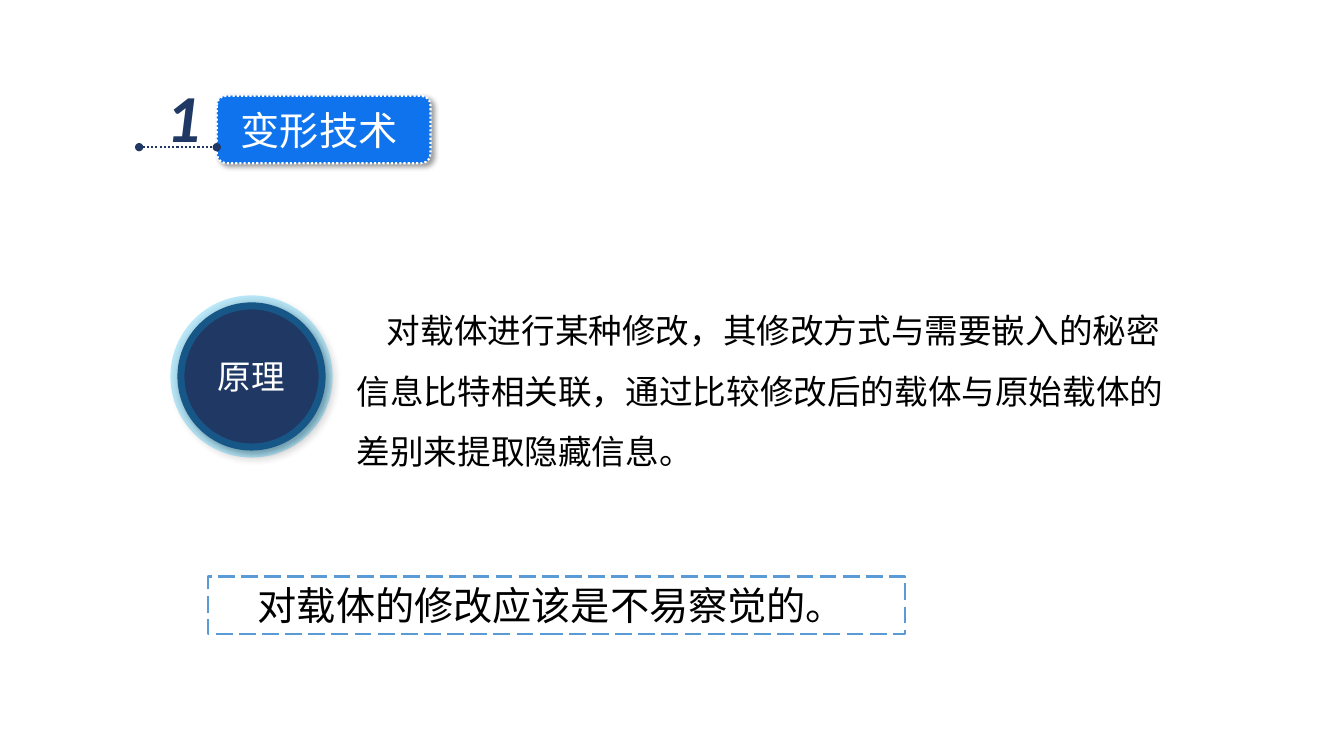
from lxml.etree import SubElement
from pptx import Presentation
from pptx.dml.color import RGBColor
from pptx.enum.dml import MSO_LINE
from pptx.enum.shapes import MSO_CONNECTOR, MSO_SHAPE
from pptx.enum.text import MSO_ANCHOR, MSO_AUTO_SIZE, PP_ALIGN
from pptx.oxml.ns import qn
from pptx.util import Pt

PX = 9144  # 100 px to the inch
COLORS = {
    "white": "FFFFFF",
    "black": "000000",
    "blue": "0F73EE",
    "navy": "203864",
    "cyan": "00B0F0",
    "dash": "5B9BD5",
}
CHINESE = "Noto Sans CJK SC"


def rgb(name):
    return RGBColor.from_string(COLORS[name])


def px(*lengths):
    return [length * PX for length in lengths]


def set_line(line, color, width, dash=None):
    line.color.rgb = rgb(color)
    line.width = Pt(width)
    if dash:
        line.dash_style = dash


def set_alpha(fill, percent):
    SubElement(fill[0], qn("a:alpha"), val=str(percent * 1000))


def add_shadow(shape):
    effects = shape._element.spPr.find(qn("a:effectLst"))
    shadow = SubElement(effects, qn("a:outerShdw"), blurRad=str(Pt(4)), dist=str(Pt(3)),
                        dir=str(45 * 60000), algn="tl", rotWithShape="0")
    SubElement(shadow, qn("a:srgbClr"), val=COLORS["black"])
    set_alpha(shadow, 40)


def add_preset(page, kind, box, fill=None):
    shape = page.shapes.add_shape(kind, *px(*box))
    shape.shadow.inherit = False
    if fill:
        shape.fill.solid()
        shape.fill.fore_color.rgb = rgb(fill)
    else:
        shape.fill.background()
    return shape


def write(shape, text, size, color, font=CHINESE, wrap=False, **formats):
    """Fill the shape with one paragraph and return it."""
    frame = shape.text_frame
    frame.word_wrap = wrap
    frame.auto_size = MSO_AUTO_SIZE.SHAPE_TO_FIT_TEXT
    para = frame.paragraphs[0]
    span = para.add_run()
    span.text = text
    span.font.color.rgb = rgb(color)
    for name, value in {"size": Pt(size), "name": font, **formats}.items():
        setattr(span.font, name, value)
    SubElement(span._r.get_or_add_rPr(), qn("a:ea"), typeface=font)
    return para


def add_text(page, box, *content, **formats):
    return write(page.shapes.add_textbox(*px(*box)), *content, **formats)


def add_heading(page, left, top, number, title):
    plate = add_preset(page, MSO_SHAPE.ROUNDED_RECTANGLE, (left + 77, top + 25, 212, 67), "blue")
    plate.adjustments[0] = 0.14
    set_line(plate.line, "white", 1.5, MSO_LINE.ROUND_DOT)
    add_shadow(plate)
    add_text(page, (left + 91, top + 31, 177, 57), title, 28, "white")
    add_text(page, (left + 17, top, 54, 91), number, 48, "navy", "Calibri", bold=True, italic=True)

    rule = page.shapes.add_connector(
        MSO_CONNECTOR.STRAIGHT, *px(left, top + 76, left + 77, top + 76))
    set_line(rule.line, "navy", 1.5, MSO_LINE.ROUND_DOT)
    for end in ("a:headEnd", "a:tailEnd"):
        SubElement(rule.line._get_or_add_ln(), qn(end), type="oval")
    SubElement(rule._element.spPr, qn("a:effectLst"))


def add_principle(page, left, top, label, text):
    """Place a round label with its explanation to the right."""
    para = add_text(page, (left + 168, top - 17, 833, 192), text, 24, "black", wrap=True)
    para.line_spacing = 1.5
    properties = para._p.get_or_add_pPr()
    properties.set("marL", "0")
    properties.set("indent", str(30 * PX))

    disc = add_preset(page, MSO_SHAPE.OVAL, (left, top, 147, 147), "navy")
    set_line(disc.line, "cyan", 10)
    set_alpha(disc.line._get_or_add_ln().find(qn("a:solidFill")), 25)
    add_shadow(disc)
    add_text(page, (left + 30, top + 48, 91, 50), label, 24, "white")


def add_conclusion(page, box, text):
    frame_box = add_preset(page, MSO_SHAPE.RECTANGLE, box)
    set_line(frame_box.line, "dash", 1.5, MSO_LINE.LONG_DASH)
    para = write(frame_box, text, 28, "black", wrap=True)
    para.alignment = PP_ALIGN.CENTER
    frame = frame_box.text_frame
    frame.vertical_anchor = MSO_ANCHOR.MIDDLE
    frame.margin_right = 20 * PX


def main():
    deck = Presentation()
    deck.slide_width, deck.slide_height = px(1333, 750)
    page = deck.slides.add_slide(deck.slide_layouts[6])
    add_heading(page, 138, 70, "1", "变形技术")
    add_principle(
        page, 176, 300, "原理",
        "对载体进行某种修改，其修改方式与需要嵌入的秘密信息比特相关联，"
        "通过比较修改后的载体与原始载体的差别来提取隐藏信息。")
    add_conclusion(page, (206, 572, 692, 57), "对载体的修改应该是不易察觉的。")
    deck.save("out.pptx")


if __name__ == "__main__":
    main()
